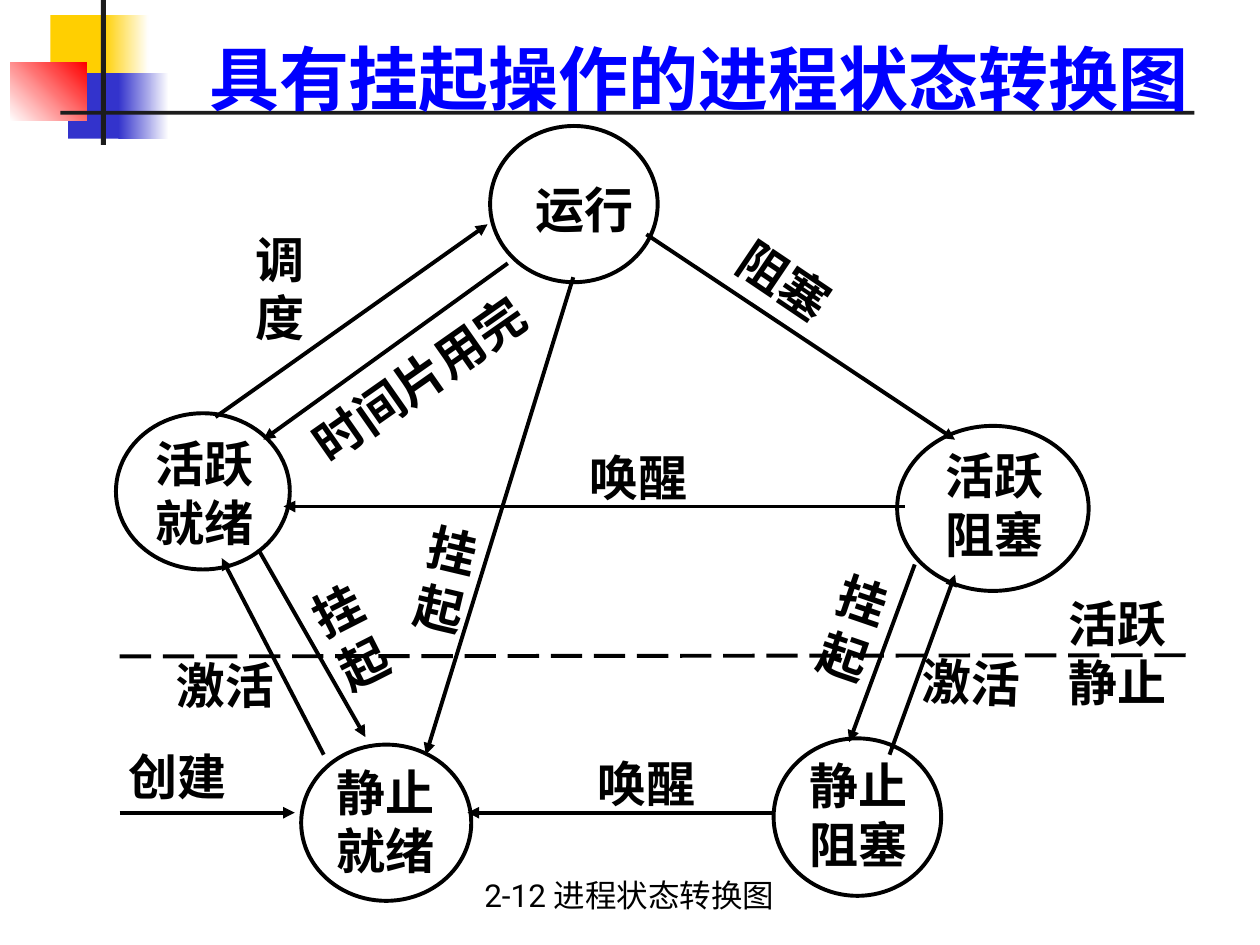
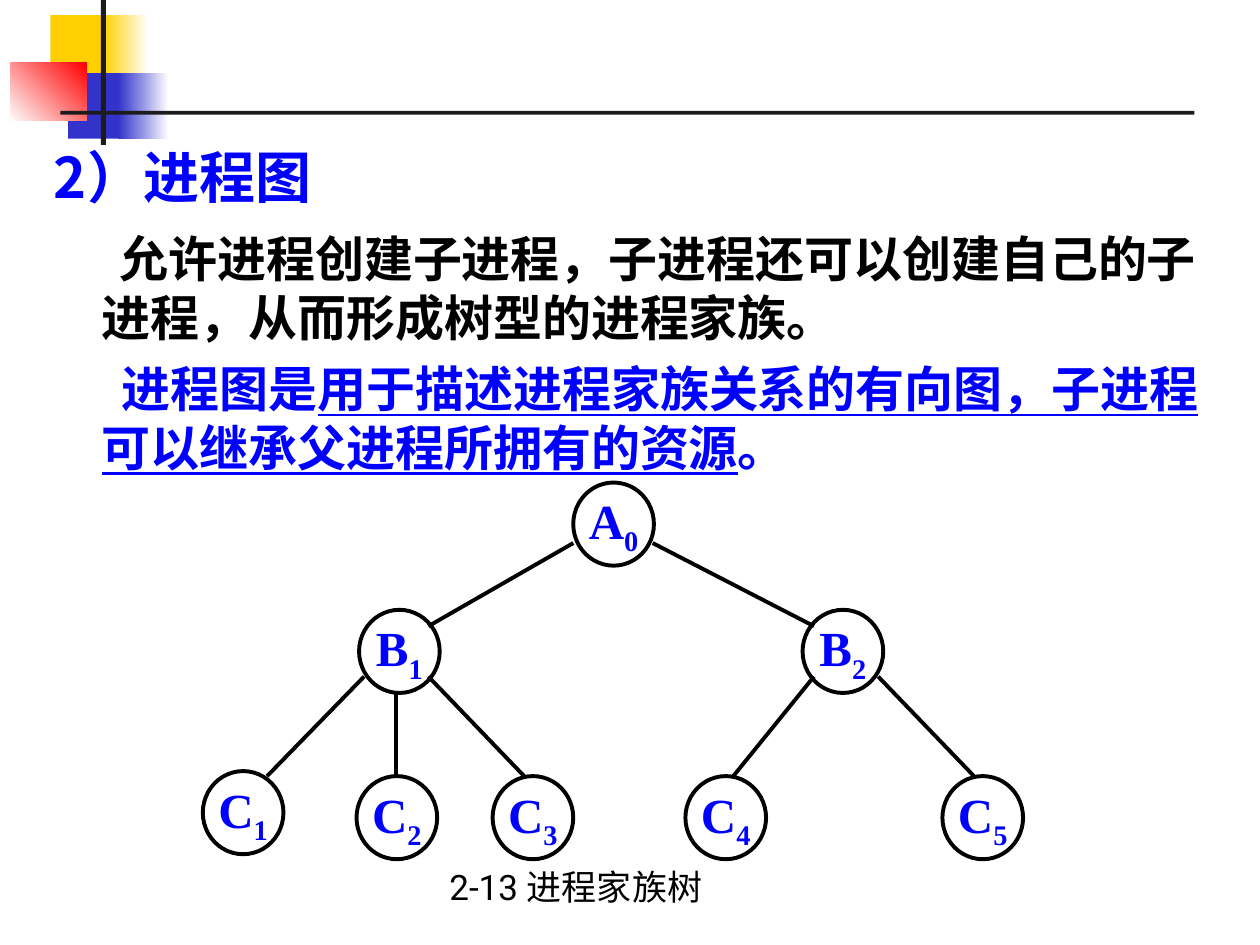
from lxml import etree
from pptx import Presentation
from pptx.dml.color import RGBColor
from pptx.enum.dml import MSO_LINE
from pptx.enum.shapes import MSO_CONNECTOR, MSO_SHAPE
from pptx.enum.text import MSO_ANCHOR, PP_ALIGN
from pptx.oxml.ns import qn
from pptx.util import Inches, Pt

RECT, OVAL = MSO_SHAPE.RECTANGLE, MSO_SHAPE.OVAL
STRAIGHT, LONG_DASH = MSO_CONNECTOR.STRAIGHT, MSO_LINE.LONG_DASH
TOP, MIDDLE, BOTTOM = MSO_ANCHOR.TOP, MSO_ANCHOR.MIDDLE, MSO_ANCHOR.BOTTOM
LEFT, CENTER, JUSTIFY = PP_ALIGN.LEFT, PP_ALIGN.CENTER, PP_ALIGN.JUSTIFY

BLACK, BLUE, WHITE = "000000", "0000FF", "FFFFFF"
YELLOW, INDIGO, RED, RULE = "FFCF01", "3333CC", "FF0000", "1C1C1C"
CJK, CAPTION_FONT, NODE_FONT = "Noto Sans CJK SC", "Roboto", "Times New Roman"
LINE_HEIGHT = 1.2
STROKE = Pt(2.25)


def rgb(hex_color):
    return RGBColor.from_string(hex_color)


def inches(*lengths):
    return [Inches(length) for length in lengths]


def style_run(run, size, color=BLACK, font=CJK, bold=True):
    run.font.size, run.font.bold = Pt(size), bold
    run.font.color.rgb = rgb(color)
    run.font.name = font
    latin = run._r.rPr.find(qn("a:latin"))
    east_asian = etree.Element(qn("a:ea"), typeface=CJK)
    latin.addnext(east_asian)


def add_text(slide, box, text, size=28, align=JUSTIFY, anchor=TOP, rotation=0, **style):
    """Text box with one paragraph for each line of text."""
    textbox = slide.shapes.add_textbox(*inches(*box))
    textbox.rotation = rotation
    frame = textbox.text_frame
    frame.word_wrap, frame.vertical_anchor = True, anchor
    frame.text = text
    for paragraph in frame.paragraphs:
        paragraph.alignment = align
        paragraph.line_spacing = Pt(size * LINE_HEIGHT)
        for run in paragraph.runs:
            style_run(run, size, **style)
    return frame


def add_block(slide, box, color, end_color=None, angle=0):
    """Borderless rectangle, solid or fading to end_color."""
    block = slide.shapes.add_shape(RECT, *inches(*box))
    block.shadow.inherit = False
    block.line.fill.background()
    if end_color is None:
        block.fill.solid()
        block.fill.fore_color.rgb = rgb(color)
        return
    block.fill.gradient()
    block.fill.gradient_angle = angle
    for stop, stop_color in zip(block.fill.gradient_stops, (color, end_color)):
        stop.color.rgb = rgb(stop_color)


def add_circle(slide, box):
    circle = slide.shapes.add_shape(OVAL, *inches(*box))
    circle.shadow.inherit = False
    circle.fill.background()
    circle.line.color.rgb, circle.line.width = rgb(BLACK), STROKE
    return circle


def add_line(slide, left, top, ends, arrow=False, dash=None):
    x1, y1, x2, y2 = ends
    line = slide.shapes.add_connector(
        STRAIGHT, *inches(left + x1, top + y1, left + x2, top + y2))
    line.line.color.rgb, line.line.width = rgb(BLACK), STROKE
    if dash is not None:
        line.line.dash_style = dash
    properties = line._element.spPr
    if arrow:
        etree.SubElement(properties.find(qn("a:ln")), qn("a:tailEnd"), type="triangle")
    etree.SubElement(properties, qn("a:effectLst"))


def add_corner_motif(slide):
    """Coloured blocks and crossing rules shared by every slide."""
    add_block(slide, (0.4, 0.12, 0.48, 0.52), YELLOW)
    add_block(slide, (0.82, 0.12, 0.36, 0.52), YELLOW, WHITE)
    add_block(slide, (0.54, 0.58, 0.46, 0.52), INDIGO)
    add_block(slide, (0.94, 0.58, 0.4, 0.52), INDIGO, WHITE)
    add_block(slide, (0.08, 0.5, 0.61, 0.46), WHITE, RED, angle=45)
    add_block(slide, (0.8, 0, 0.04, 1.15), RULE)
    add_block(slide, (0.48, 0.88, 9, 0.03), RULE)


def add_slide(deck):
    slide = deck.slides.add_slide(deck.slide_layouts[6])
    add_corner_motif(slide)
    return slide


def add_title(slide, box, text):
    add_text(slide, box, text, 40, CENTER, BOTTOM, color=BLUE, font=CAPTION_FONT)


def add_caption(slide, box, text, size):
    add_text(slide, box, text, size, CENTER, font=CAPTION_FONT, bold=False)


def add_state_diagram(slide, left, top):
    transitions = [
        (5.23, 5.45, 2.81, 5.45), (1.15, 3.36, 2, 4.85), (1.67, 4.99, 0.86, 3.43),
        (6.36, 3.48, 5.84, 4.89), (6.16, 4.99, 6.68, 3.56), (6.28, 3.02, 1.35, 3.02),
        (4.23, 0.86, 6.68, 2.49), (0.81, 2.31, 2.97, 0.78), (3.65, 1.2, 2.48, 4.99),
        (0.05, 5.45, 1.44, 5.45), (3.13, 1.09, 1.19, 2.49),
    ]
    for ends in transitions:
        add_line(slide, left, top, ends, arrow=True)
    # Boundary between active and suspended states
    add_line(slide, left, top, (0.05, 4.21, 8.57, 4.2), dash=LONG_DASH)

    # Each state: name, circle box, offset of its name inside the circle
    states = [
        ("运行", (2.99, 0, 1.33, 1.24), (0.18, 0.38)),
        ("活跃就绪", (0.02, 2.28, 1.38, 1.24), (0.13, 0.11)),
        ("活跃阻塞", (6.22, 2.38, 1.52, 1.31), (0.2, 0.11)),
        ("静止就绪", (1.49, 4.91, 1.35, 1.24), (0.1, 0.09)),
        ("静止阻塞", (5.24, 4.86, 1.33, 1.25), (0.1, 0.09)),
    ]
    for name, (x, y, width, height), (dx, dy) in states:
        x, y = left + x, top + y
        add_circle(slide, (x, y, width, height))
        add_text(slide, (x + dx, y + dy, 1.14, 1.04), name, align=CENTER)

    # Each label: text, box, rotation, alignment
    labels = [
        ("创建", (0.02, 4.88, 1.13, 0.57), 0, JUSTIFY),
        ("阻塞", (4.77, 1.17, 1.78, 0.57), 34.1, LEFT),
        ("唤醒", (3.27, 4.93, 1.92, 0.57), 0, CENTER),
        ("唤醒", (3.68, 2.5, 1.87, 0.57), 0, JUSTIFY),
        ("挂起", (1.57, 3.45, 0.97, 1.04), 333.1, JUSTIFY),
        ("挂起", (5.57, 3.53, 0.97, 1.04), 19, JUSTIFY),
        ("挂起", (2.35, 3.08, 0.58, 1.04), 13.3, CENTER),
        ("激活", (6.32, 4.13, 1.14, 0.57), 2.1, JUSTIFY),
        ("激活", (0.4, 4.15, 1.14, 0.57), 359.3, JUSTIFY),
        ("时间片用完", (1.35, 1.7, 2.22, 0.57), 325, JUSTIFY),
        ("调度", (1.03, 0.77, 0.97, 1.04), 0, JUSTIFY),
        ("活跃\n静止", (7.48, 3.66, 1.17, 1.04), 0, JUSTIFY),
    ]
    for text, (x, y, width, height), rotation, align in labels:
        add_text(slide, (left + x, top + y, width, height), text,
                 align=align, rotation=rotation)


def add_explanation(slide, box):
    frame = add_text(slide, box, "2）进程图", 32, LEFT, color=BLUE)
    # Each paragraph: space before, first-line indent, runs of text, colour, underline
    paragraphs = [
        (11, 0.14, [("允许进程创建子进程，子进程还可以创建自己的子进程，从而形成树型的进程家族。",
                     BLACK, False)]),
        (7, 0.16, [("进程图是", BLUE, False),
                   ("用于描述进程家族关系的有向图，子进程可以继承父进程所拥有的资源", BLUE, True),
                   ("。", BLUE, False)]),
    ]
    for space, indent, runs in paragraphs:
        paragraph = frame.add_paragraph()
        paragraph.alignment = LEFT
        paragraph.line_spacing = Pt(28 * LINE_HEIGHT)
        paragraph.space_before = Pt(space)
        properties = paragraph._p.get_or_add_pPr()
        properties.set("marL", str(Inches(0.38)))
        properties.set("indent", str(Inches(indent)))
        for text, color, underline in runs:
            run = paragraph.add_run()
            run.text = text
            style_run(run, 28, color)
            run.font.underline = underline


def add_process_tree(slide, left, top):
    processes = {
        "A0": (2.95, 0.03), "B1": (1.25, 1.04), "B2": (4.77, 1.04),
        "C1": (0.01, 2.32), "C2": (1.23, 2.36), "C3": (2.31, 2.36),
        "C4": (3.84, 2.36), "C5": (5.88, 2.36),
    }
    for (letter, index), (x, y) in processes.items():
        circle = add_circle(slide, (left + x, top + y, 0.64, 0.66))
        frame = circle.text_frame
        frame.word_wrap, frame.vertical_anchor = False, MIDDLE
        paragraph = frame.paragraphs[0]
        paragraph.alignment = CENTER
        for text in (letter, index):
            run = paragraph.add_run()
            run.text = text
            style_run(run, 28, BLUE, NODE_FONT)
        run.font._element.set("baseline", "-25000")

    branches = [
        (2.95, 0.51, 1.8, 1.17), (3.58, 0.51, 4.86, 1.17),
        (1.29, 1.57, 0.52, 2.36), (1.54, 1.7, 1.54, 2.36), (1.8, 1.57, 2.56, 2.36),
        (4.86, 1.57, 4.22, 2.36), (5.37, 1.57, 6.13, 2.36),
    ]
    for ends in branches:
        add_line(slide, left, top, ends)


def main():
    deck = Presentation()
    deck.slide_width, deck.slide_height = inches(10, 7.5)

    # State transitions with suspension
    states = add_slide(deck)
    add_title(states, (1.26, 0.08, 8.57, 0.92), "具有挂起操作的进程状态转换图")
    add_state_diagram(states, 0.9, 1)
    add_caption(states, (3.58, 6.9, 2.83, 0.4), "2-12 进程状态转换图", 18)

    # Process family tree
    family = add_slide(deck)
    add_explanation(family, (0.33, 1.08, 9.33, 2.75))
    add_process_tree(family, 1.6, 3.8)
    add_caption(family, (3.35, 6.82, 2.44, 0.44), "2-13 进程家族树", 20)

    deck.save("out.pptx")


if __name__ == "__main__":
    main()
